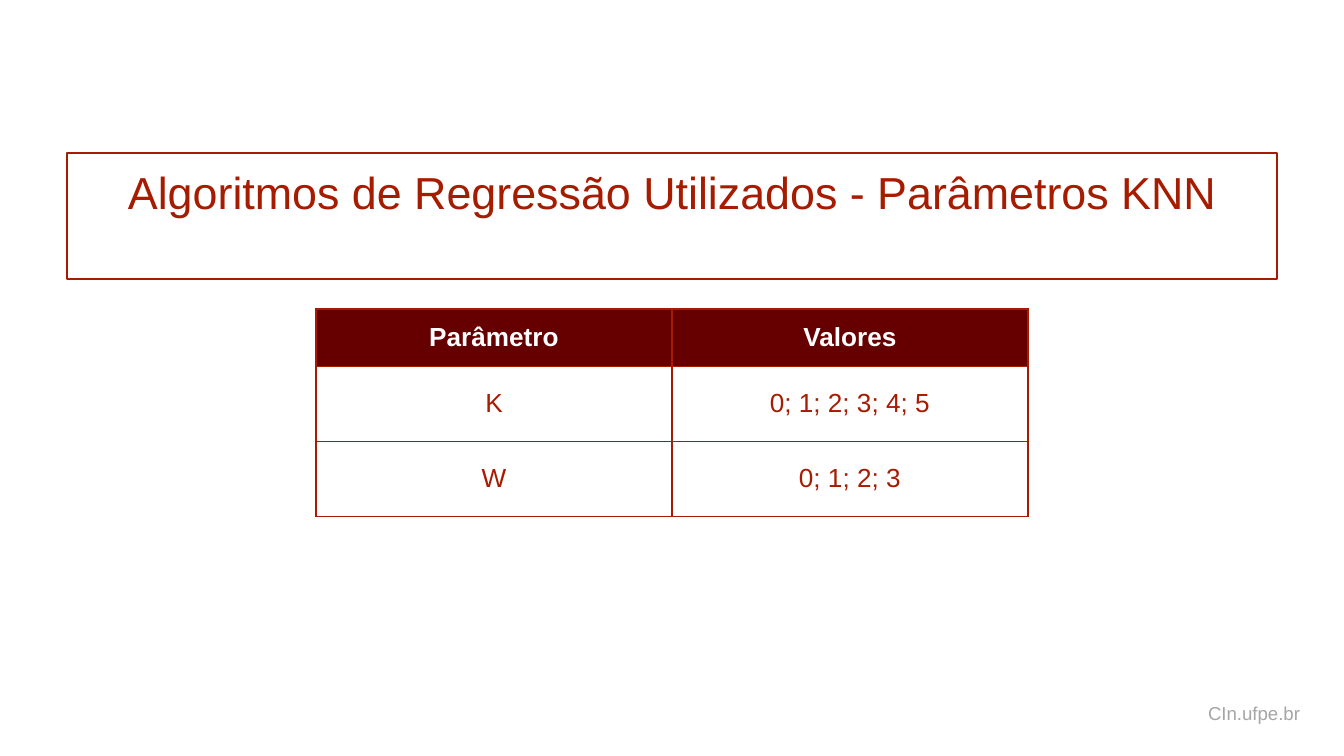
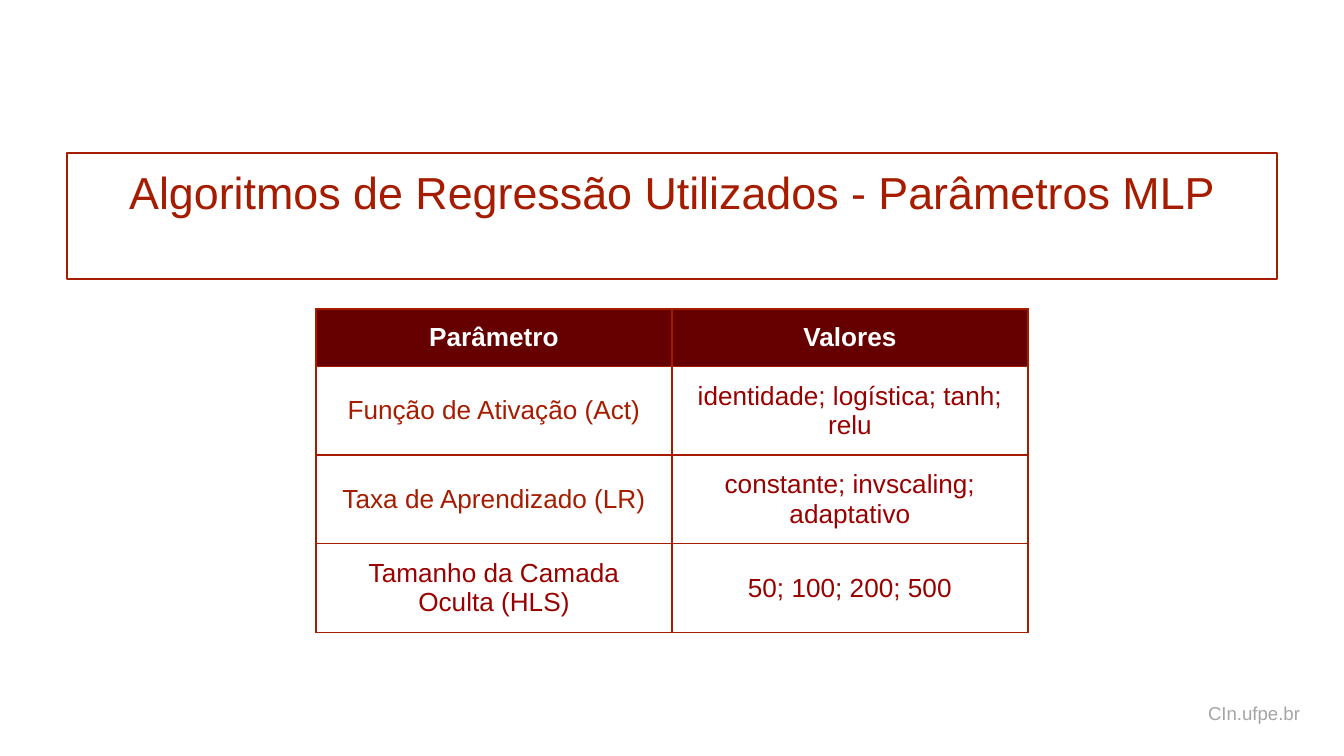
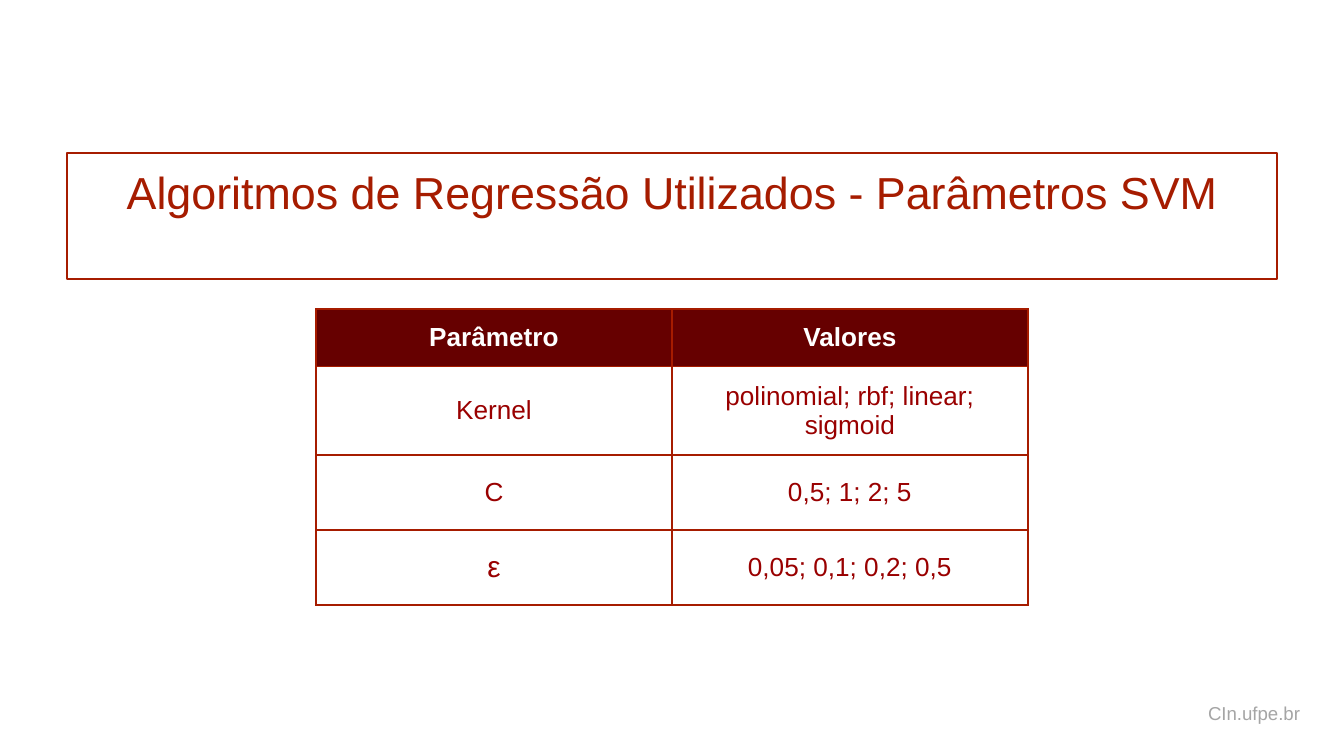
from dataclasses import dataclass

from lxml import etree
from pptx import Presentation
from pptx.dml.color import RGBColor
from pptx.enum.shapes import MSO_SHAPE
from pptx.enum.text import MSO_ANCHOR, PP_ALIGN
from pptx.oxml.ns import qn
from pptx.util import Emu, Pt

# Scale: 134.4 px to the inch
EMU_PER_PX = 914400 / 134.4

# Shared style
RECTANGLE = MSO_SHAPE.RECTANGLE
TOP, MIDDLE = MSO_ANCHOR.TOP, MSO_ANCHOR.MIDDLE
LEFT, CENTER = PP_ALIGN.LEFT, PP_ALIGN.CENTER
WHITE = RGBColor(0xFF, 0xFF, 0xFF)
GRAY = RGBColor(0xA5, 0xA5, 0xA5)
BRICK = RGBColor(0xA6, 0x1C, 0x00)
CRIMSON = RGBColor(0x99, 0x00, 0x00)
MAROON = RGBColor(0x66, 0x00, 0x00)
FONT = "Arial"
LINE_WIDTH = Pt(0.75)
INSET = 13

# Table grid
TABLE_LEFT, TABLE_TOP = 316, 309
COLUMN_WIDTH, HEADER_HEIGHT, ROW_HEIGHT = 356, 57, 75
HEADINGS = ("Parâmetro", "Valores")


@dataclass(frozen=True)
class Entry:
    text: str
    color: RGBColor = CRIMSON
    size: int = 14
    bold: bool = False
    space_after: int = 8


@dataclass(frozen=True)
class ParameterSlide:
    algorithm: str
    rows: tuple[tuple[Entry, Entry], ...]


SLIDES = (
    ParameterSlide("KNN", (
        (Entry("K", BRICK), Entry("0; 1; 2; 3; 4; 5", BRICK)),
        (Entry("W", BRICK), Entry("0; 1; 2; 3", BRICK)),
    )),
    ParameterSlide("MLP", (
        (Entry("Função de Ativação (Act)", BRICK), Entry("identidade; logística; tanh; relu")),
        (Entry("Taxa de Aprendizado (LR)", BRICK), Entry("constante; invscaling; adaptativo")),
        (Entry("Tamanho da Camada Oculta (HLS)"), Entry("50; 100; 200; 500")),
    )),
    ParameterSlide("SVM", (
        (Entry("Kernel"), Entry("polinomial; rbf; linear; sigmoid")),
        (Entry("C"), Entry("0,5; 1; 2; 5")),
        (Entry("ε", size=16, space_after=0), Entry("0,05; 0,1; 0,2; 0,5")),
    )),
)


def px(length: int) -> Emu:
    return Emu(round(length * EMU_PER_PX))


def write(frame, entry: Entry, align=CENTER) -> None:
    paragraph = frame.paragraphs[0]
    paragraph.text = entry.text
    paragraph.alignment = align
    paragraph.space_after = Pt(entry.space_after)
    font = paragraph.font
    font.name, font.size, font.bold = FONT, Pt(entry.size), entry.bold
    font.color.rgb = entry.color


def set_insets(target, horizontal: int, vertical: int) -> None:
    target.margin_left = target.margin_right = px(horizontal)
    target.margin_top = target.margin_bottom = px(vertical)


def draw_title(page, text: str) -> None:
    box = page.shapes.add_shape(RECTANGLE, px(67), px(153), px(1210), px(126))
    box.shadow.inherit = False
    box.fill.background()
    box.line.color.rgb = BRICK
    box.line.width = LINE_WIDTH
    frame = box.text_frame
    frame.word_wrap = True
    frame.vertical_anchor = TOP
    set_insets(frame, INSET, 12)
    write(frame, Entry(text, BRICK, 24, space_after=0))


def draw_footer(page) -> None:
    box = page.shapes.add_textbox(px(1195), px(695), px(132), px(27))
    frame = box.text_frame
    frame.word_wrap = True
    set_insets(frame, INSET, 7)
    write(frame, Entry("CIn.ufpe.br", GRAY, 10, space_after=0), LEFT)


def add_borders(cell) -> None:
    properties = cell._tc.get_or_add_tcPr()
    for side in ("a:lnL", "a:lnR", "a:lnT", "a:lnB"):
        line = etree.SubElement(properties, qn(side), w=str(LINE_WIDTH))
        fill = etree.SubElement(line, qn("a:solidFill"))
        etree.SubElement(fill, qn("a:srgbClr"), val=str(BRICK))


def draw_table(page, rows: tuple[tuple[Entry, Entry], ...]) -> None:
    header = tuple(Entry(text, WHITE, bold=True, space_after=0) for text in HEADINGS)
    height = HEADER_HEIGHT + ROW_HEIGHT * len(rows)
    table = page.shapes.add_table(
        len(rows) + 1, len(HEADINGS), px(TABLE_LEFT), px(TABLE_TOP),
        px(COLUMN_WIDTH * len(HEADINGS)), px(height)).table
    table.first_row = table.horz_banding = False
    for column in table.columns:
        column.width = px(COLUMN_WIDTH)
    for row_index, entries in enumerate((header, *rows)):
        is_header = row_index == 0
        table.rows[row_index].height = px(HEADER_HEIGHT if is_header else ROW_HEIGHT)
        for column_index, entry in enumerate(entries):
            cell = table.cell(row_index, column_index)
            add_borders(cell)
            if is_header:
                cell.fill.solid()
                cell.fill.fore_color.rgb = MAROON
            else:
                cell.fill.background()
            cell.vertical_anchor = MIDDLE
            set_insets(cell, INSET, INSET)
            write(cell.text_frame, entry)


def main() -> None:
    deck = Presentation()
    deck.slide_width, deck.slide_height = px(1344), px(756)
    blank = deck.slide_layouts[6]
    for content in SLIDES:
        page = deck.slides.add_slide(blank)
        draw_footer(page)
        draw_title(page, f"Algoritmos de Regressão Utilizados - Parâmetros {content.algorithm}")
        draw_table(page, content.rows)
    deck.save("out.pptx")


if __name__ == "__main__":
    main()
